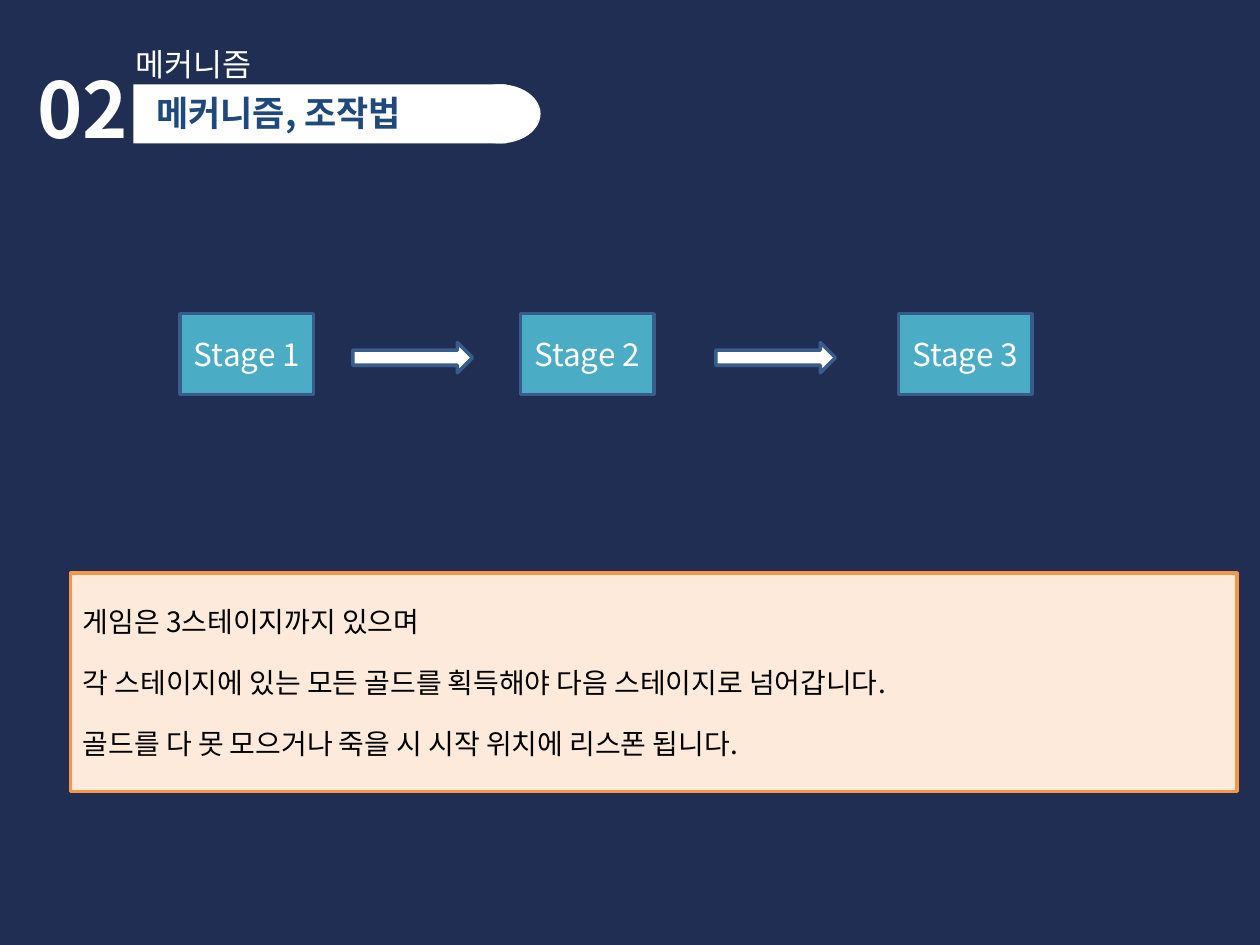
import dataclasses

import lxml.etree
import pptx
import pptx.dml.color
import pptx.enum.shapes
import pptx.enum.text
import pptx.oxml.ns
import pptx.util

Pt = pptx.util.Pt
Shape = pptx.enum.shapes.MSO_SHAPE
Align = pptx.enum.text.PP_ALIGN
Anchor = pptx.enum.text.MSO_ANCHOR


@dataclasses.dataclass(frozen=True)
class Theme:
    font: str = "Noto Sans CJK KR"
    background: str = "212E53"
    white: str = "FFFFFF"
    black: str = "000000"
    title: str = "1F497D"
    stage: str = "4BACC6"
    outline: str = "385D8A"
    note: str = "FDEADA"
    note_outline: str = "F79646"
    number_size: int = 44
    title_size: int = 20
    label_size: int = 18
    note_size: int = 16
    line_width: int = 2


THEME = Theme()


def color(value):
    return pptx.dml.color.RGBColor.from_string(value)


def write(box, *lines, size, ink=THEME.white, bold=False, align=Align.LEFT,
          anchor=Anchor.TOP, gap=0):
    frame = box.text_frame
    frame.word_wrap = True
    frame.vertical_anchor = anchor
    for index, line in enumerate(lines):
        para = frame.paragraphs[0] if index == 0 else frame.add_paragraph()
        para.alignment = align
        if index:
            para.space_before = Pt(gap)
        span = para.add_run()
        span.text = line
        span.font.size = Pt(size)
        span.font.bold = bold
        span.font.color.rgb = color(ink)
        span.font.name = THEME.font
        properties = span.font._element
        east_asian = lxml.etree.SubElement(properties, pptx.oxml.ns.qn("a:ea"))
        east_asian.set("typeface", THEME.font)


def add_label(page, place, text, **style):
    box = page.shapes.add_textbox(*map(Pt, place))
    write(box, text, **style)
    box.text_frame.auto_size = pptx.enum.text.MSO_AUTO_SIZE.SHAPE_TO_FIT_TEXT


def add_block(shapes, kind, place, fill, outline=None):
    block = shapes.add_shape(kind, *map(Pt, place))
    block.shadow.inherit = False
    block.fill.solid()
    block.fill.fore_color.rgb = color(fill)
    if outline:
        block.line.color.rgb = color(outline)
        block.line.width = Pt(THEME.line_width)
    else:
        block.line.fill.background()
    return block


def add_header(page):
    add_label(page, (14.4, 31.7, 79.2, 60.5), "02", size=THEME.number_size, bold=True)
    banner = page.shapes.add_group_shape().shapes
    add_block(banner, Shape.RECTANGLE, (76.3, 48.2, 213.1, 33.8), THEME.white)
    add_block(banner, Shape.OVAL, (262.1, 48.2, 46.8, 33.8), THEME.white)
    add_label(page, (82.1, 49, 210.2, 31.7), "메커니즘, 조작법",
              size=THEME.title_size, ink=THEME.title, bold=True)
    add_label(page, (70.6, 22.3, 161.3, 28.8), "메커니즘", size=THEME.label_size)


def add_note(page):
    note = add_block(page.shapes, Shape.RECTANGLE, (40.3, 327.6, 666.7, 124.6),
                     THEME.note, THEME.note_outline)
    write(note, "게임은 3스테이지까지 있으며",
          "각 스테이지에 있는 모든 골드를 획득해야 다음 스테이지로 넘어갑니다.",
          "골드를 다 못 모으거나 죽을 시 시작 위치에 리스폰 됩니다.",
          size=THEME.note_size, ink=THEME.black, anchor=Anchor.MIDDLE, gap=15.4)


def add_stages(page):
    for number, left in enumerate((103, 297.4, 513.4), start=1):
        stage = add_block(page.shapes, Shape.RECTANGLE, (left, 179.3, 76.3, 46.1),
                          THEME.stage, THEME.outline)
        write(stage, f"Stage {number}", size=THEME.label_size,
              align=Align.CENTER, anchor=Anchor.MIDDLE)
    for left in (201.6, 409):
        add_block(page.shapes, Shape.RIGHT_ARROW, (left, 195.8, 68.4, 17.3),
                  THEME.white, THEME.outline)


def main():
    deck = pptx.Presentation()
    deck.slide_width, deck.slide_height = Pt(720), Pt(540)
    page = deck.slides.add_slide(deck.slide_layouts[6])
    page.background.fill.solid()
    page.background.fill.fore_color.rgb = color(THEME.background)
    add_header(page)
    add_note(page)
    add_stages(page)
    deck.save("out.pptx")


if __name__ == "__main__":
    main()
